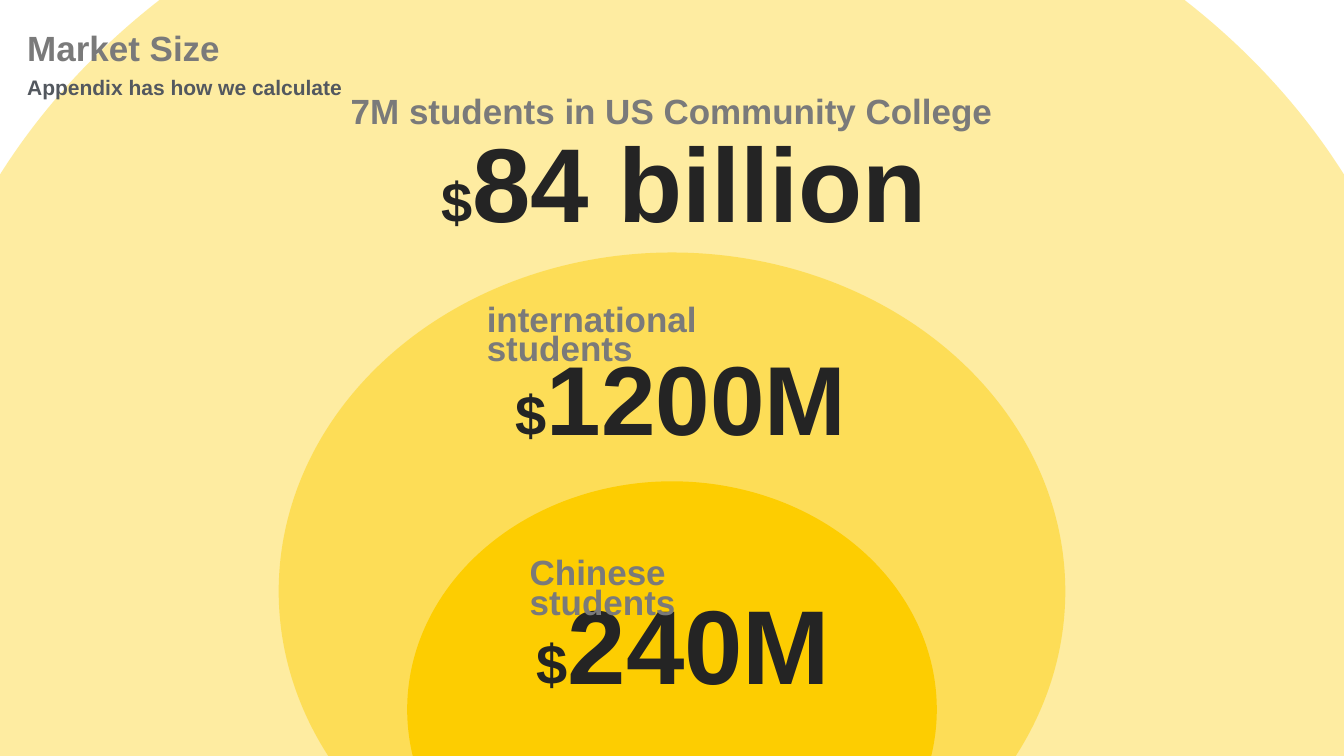
from lxml import etree
from pptx import Presentation
from pptx import util as u
from pptx.dml.color import RGBColor
from pptx.enum import shapes, text
from pptx.oxml.ns import qn

WIDTH, HEIGHT = 26.67, 15
YELLOW, GREY, BLACK, SLATE = "FDCD01", "7A7A7A", "242424", "53585F"
ASPECT = 1.161  # width of every market ellipse over its height

# width, top, opacity in percent
MARKETS = [(30.35, -3.37, 37), (15.61, 5.01, 46), (10.51, 9.55, 100)]

TITLE = ("Market Size", (0.48, 0.47, 4.05, 0.94))
SUBTITLE = ("Appendix has how we calculate", (0.48, 1.43, 6.39, 0.61))
# amount, size, box
AMOUNTS = [
    ("84 billion", 150, (8.7, 2.27, 9.88, 3.22)),
    ("1200M", 140, (10.17, 6.93, 6.83, 2.43)),
    ("240M", 150, (10.59, 11.77, 6.11, 2.59)),
]
# "\v" marks a line break
LABELS = [
    ("Chinese\vstudents", (10.45, 11.27, 5.89, 0.94)),
    ("international\vstudents", (9.6, 6.24, 7.36, 0.94)),
    ("7M students in US Community College", (6.9, 1.82, 12.87, 0.94)),
]


def colour(value):
    return RGBColor.from_string(value)


def place(shape, box):
    for name, value in zip(("left", "top", "width", "height"), box):
        setattr(shape, name, u.Inches(value))


def add_market(page, width, top, opacity):
    height = width / ASPECT
    box = [u.Inches(v) for v in ((WIDTH - width) / 2, top, width, height)]
    ellipse = page.shapes.add_shape(shapes.MSO_SHAPE.OVAL, *box)
    ellipse.shadow.inherit = False
    ellipse.line.fill.background()
    ellipse.fill.solid()
    ellipse.fill.fore_color.rgb = colour(YELLOW)
    if opacity < 100:
        fill = ellipse.fill._xPr.find(qn("a:solidFill"))
        etree.SubElement(fill[0], qn("a:alpha"), val=str(opacity * 1000))


def write(shape, box, spans, ink, spacing=None):
    """Put (words, size) spans on one paragraph of the shape."""
    place(shape, box)
    frame = shape.text_frame
    inset = u.Inches(0.06)
    frame_format = {
        "margin_left": inset, "margin_right": inset,
        "margin_top": inset, "margin_bottom": inset,
        "vertical_anchor": text.MSO_ANCHOR.MIDDLE,
        "auto_size": text.MSO_AUTO_SIZE.SHAPE_TO_FIT_TEXT,
        "word_wrap": any("\v" in words for words, _ in spans),
    }
    for name, value in frame_format.items():
        setattr(frame, name, value)
    para = frame.paragraphs[0]
    para.alignment = text.PP_ALIGN.LEFT
    para.line_spacing = spacing
    for words, size in spans:
        for index, line in enumerate(words.split("\v")):
            if index:
                para.add_line_break()
            span = para.add_run()
            span.text = line
            span.font.color.rgb = colour(ink)
            for name, value in {"name": "Arial", "size": u.Pt(size), "bold": True}.items():
                setattr(span.font, name, value)


def add_text(page, box, *details):
    write(page.shapes.add_textbox(0, 0, 0, 0), box, *details)


def main():
    deck = Presentation()
    deck.slide_width, deck.slide_height = u.Inches(WIDTH), u.Inches(HEIGHT)
    page = deck.slides.add_slide(deck.slide_layouts[5])

    for market in MARKETS:
        add_market(page, *market)

    title = page.shapes.title
    page.shapes._spTree.append(title._element)  # in front of the ellipses
    words, box = TITLE
    write(title, box, [(words, 50)], GREY)

    for amount, size, box in AMOUNTS:
        add_text(page, box, [("$", 80), (amount, size)], BLACK, 0.7)
    for words, box in LABELS:
        add_text(page, box, [(words, 50)], GREY, 0.7)
    words, box = SUBTITLE
    add_text(page, box, [(words, 30)], SLATE)

    deck.save("out.pptx")


if __name__ == "__main__":
    main()
